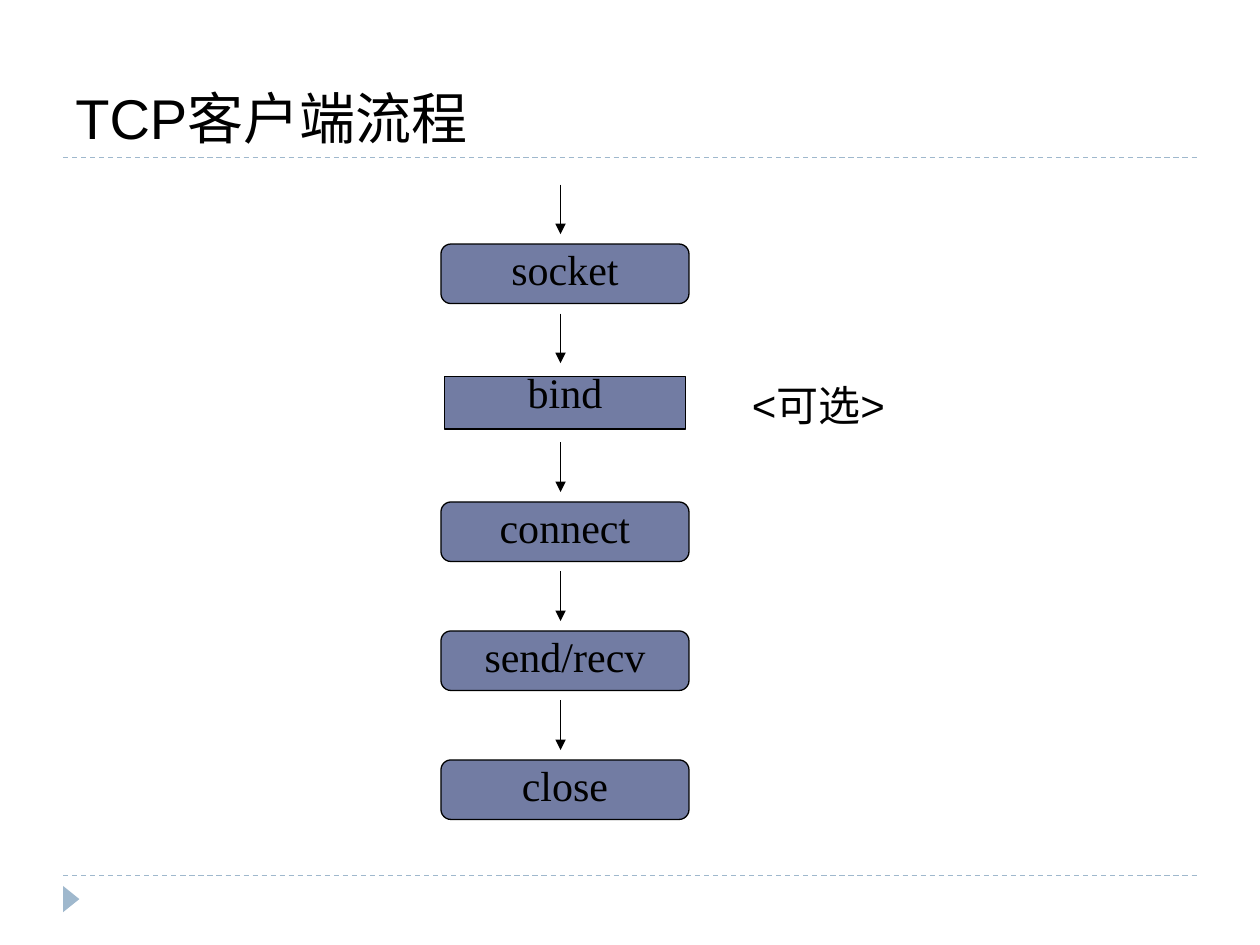
from lxml import etree
from pptx import Presentation
from pptx import util as u
from pptx.dml import color
from pptx.enum import dml, shapes, text
from pptx.oxml import ns

Cm, Pt = u.Cm, u.Pt
INK = {"text": "000000", "step": "727CA3", "rule": "9FB8CD"}
STEPS = ["socket", "bind", "connect", "send/recv", "close"]
NOTES = {"bind": "<可选>"}
PITCH = 2.6


def rgb(name):
    return color.RGBColor.from_string(INK[name])


def write(shape, words, size, face, pads=(0.25, 0.13), anchor=text.MSO_ANCHOR.TOP):
    frame = shape.text_frame
    frame.word_wrap = True
    frame.vertical_anchor = anchor
    frame.margin_left = frame.margin_right = Cm(pads[0])
    frame.margin_top = frame.margin_bottom = Cm(pads[1])
    para = frame.paragraphs[0]
    para.text = words
    para.font.size = Pt(size)
    para.font.name = face
    para.font.color.rgb = rgb("text")
    return para


def draw_line(slide, start, end, hue):
    line = slide.shapes.add_connector(
        shapes.MSO_CONNECTOR.STRAIGHT, *map(Cm, start + end))
    line.line.color.rgb = rgb(hue)
    line.line.width = Pt(0.75)
    etree.SubElement(line._element.spPr, ns.qn("a:effectLst"))
    return line


def add_rule(slide, left, top, width):
    rule = draw_line(slide, (left, top), (left + width, top), "rule")
    rule.line.dash_style = dml.MSO_LINE.DASH


def add_arrow(slide, x, top, length):
    arrow = draw_line(slide, (x, top), (x, top + length), "text")
    etree.SubElement(arrow.line._get_or_add_ln(), ns.qn("a:tailEnd"), type="triangle")


def add_shape(slide, kind, box, fill):
    shape = slide.shapes.add_shape(kind, *map(Cm, box))
    shape.shadow.inherit = False
    shape.fill.solid()
    shape.fill.fore_color.rgb = rgb(fill)
    return shape


def add_head(slide, left, top, width, height):
    box = slide.shapes.add_textbox(*map(Cm, (left, top, width, height)))
    write(box, "TCP客户端流程", 32, "Arial", anchor=text.MSO_ANCHOR.BOTTOM)
    add_rule(slide, left, top + height, width)


def add_foot(slide, left, top, width):
    add_rule(slide, left, top, width)
    mark = add_shape(slide, shapes.MSO_SHAPE.ISOSCELES_TRIANGLE,
                     (left - 0.1, top + 0.31, 0.53, 0.33), "rule")
    mark.rotation = 90
    mark.line.fill.background()


def add_step(slide, name, left, top, width, height):
    """Draw one call with its incoming arrow; an optional call is a plain box with a note."""
    note = NOTES.get(name)
    if note:
        kind, inset, pads = shapes.MSO_SHAPE.RECTANGLE, 0.07, (0, 0)
    else:
        kind, inset, pads = shapes.MSO_SHAPE.FLOWCHART_ALTERNATE_PROCESS, 0, (0.25, 0.13)
    box = (left + inset, top + inset, width - 2 * inset, height - 2 * inset)
    step = add_shape(slide, kind, box, "step")
    step.line.color.rgb = rgb("text")
    step.line.width = Pt(0.75)
    para = write(step, name, 24, "Times New Roman", pads)
    para.alignment = text.PP_ALIGN.CENTER
    para.line_spacing = 0.8
    add_arrow(slide, left + 2.41, top - 1.2, 1)
    if note:
        label = slide.shapes.add_textbox(
            Cm(left + width + 1.02), Cm(top), Cm(5.2), Cm(1.27))
        write(label, note, 24, "Arial").space_before = Pt(15)


def add_flow(slide, left, top, width, height):
    for row, name in enumerate(STEPS):
        add_step(slide, name, left, top + row * PITCH, width, height)


def main():
    deck = Presentation()
    deck.slide_width, deck.slide_height = Cm(25.4), Cm(19.05)
    slide = deck.slides.add_slide(deck.slide_layouts[6])
    add_head(slide, 1.27, 0.43, 22.86, 2.74)
    add_flow(slide, 8.89, 4.92, 5, 1.2)
    add_foot(slide, 1.27, 17.65, 22.86)
    deck.save("out.pptx")


if __name__ == "__main__":
    main()
